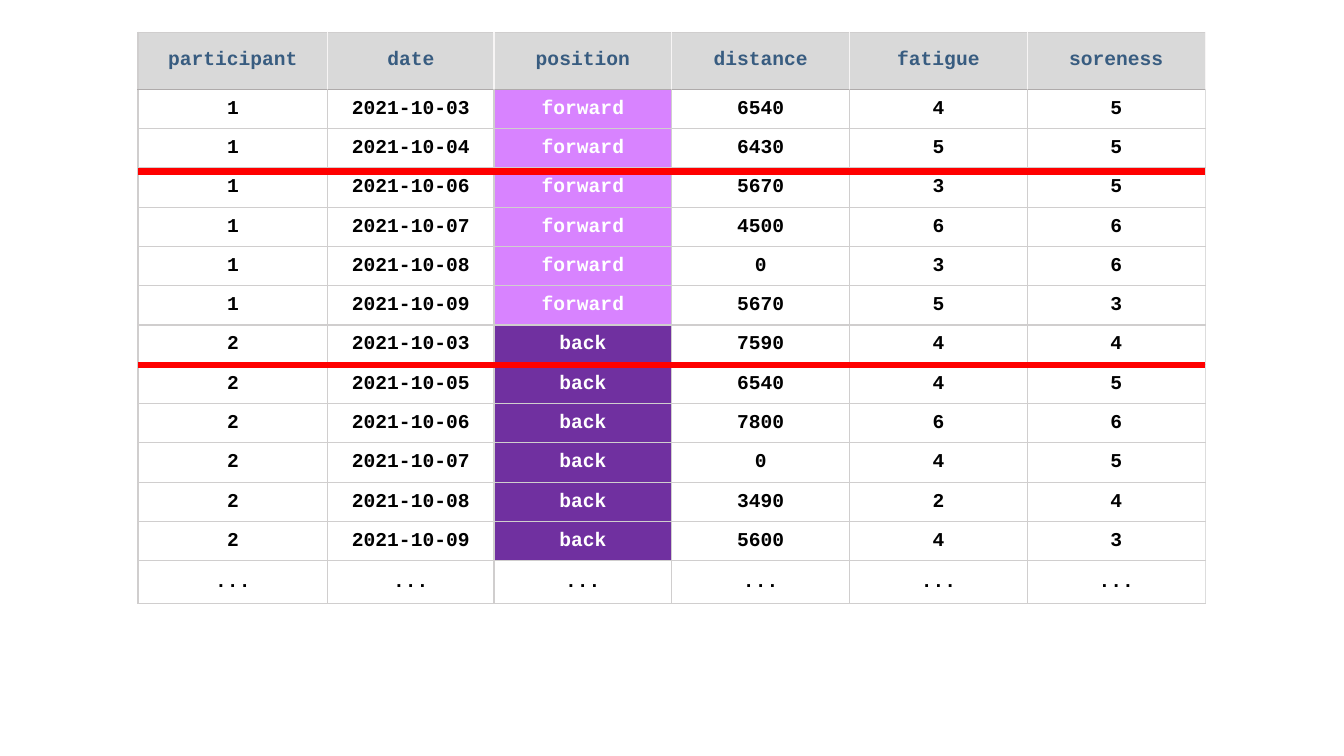
from pptx import Presentation
from pptx.dml.color import RGBColor
from pptx.enum.shapes import MSO_CONNECTOR
from pptx.enum.text import MSO_ANCHOR, PP_ALIGN
from pptx.oxml.ns import qn
from pptx.util import Cm, Pt
from lxml.etree import SubElement

FONT = "Courier New"
LEFT, TOP = 3.48, 0.81
COLUMN_WIDTHS = [4.78, 4.19] + [4.48] * 4
ROW_HEIGHTS = [1.44] + [0.99] * 12 + [1.07]
GRID, HEADER_SIDE, HEADER_BASE, OUTER_RIGHT = "D0CECE", "F7F5F5", "AFABAB", "DDDDDD"
POSITION_FILLS = {"forward": "D883FF", "back": "7030A0"}
GAP_LINES_Y = [4.32, 9.2]

HEADER = ["participant", "date", "position", "distance", "fatigue", "soreness"]
# Per position group: participant, then (day, distance, fatigue, soreness)
SESSIONS = {
    "forward": (1, [("03", 6540, 4, 5), ("04", 6430, 5, 5), ("06", 5670, 3, 5),
                    ("07", 4500, 6, 6), ("08", 0, 3, 6), ("09", 5670, 5, 3)]),
    "back": (2, [("03", 7590, 4, 4), ("05", 6540, 4, 5), ("06", 7800, 6, 6),
                 ("07", 0, 4, 5), ("08", 3490, 2, 4), ("09", 5600, 4, 3)]),
}


def rgb(color):
    """Turn a hex string into a colour."""
    return RGBColor.from_string(color)


def table_rows():
    """List the header, every session and the closing row of dots."""
    rows = [HEADER]
    for position, (participant, sessions) in SESSIONS.items():
        for day, *measures in sessions:
            rows.append([participant, f"2021-10-{day}", position, *measures])
    return rows + [["..."] * len(HEADER)]


def border_colors(row, col):
    """Give the left, right, top and bottom border colours of a cell."""
    last = len(HEADER) - 1
    if row == 0:
        return GRID if col == 0 else HEADER_SIDE, HEADER_SIDE, GRID, HEADER_BASE
    right = OUTER_RIGHT if col == last else GRID
    return GRID, right, HEADER_BASE if row == 1 else GRID, GRID


def set_borders(cell, colors):
    """Draw the four 1 pt borders of a cell."""
    tc_pr = cell._tc.get_or_add_tcPr()
    for side, color in zip("LRTB", colors):
        ln = SubElement(tc_pr, qn(f"a:ln{side}"), w=str(Pt(1)))
        fill = SubElement(ln, qn("a:solidFill"))
        SubElement(fill, qn("a:srgbClr"), val=color)


def fill_cell(cell, text, text_color, fill_color):
    """Write centred bold text in a cell and set its fill."""
    cell.vertical_anchor = MSO_ANCHOR.MIDDLE
    cell.text = text
    p = cell.text_frame.paragraphs[0]
    p.alignment = PP_ALIGN.CENTER
    p.font.name, p.font.size, p.font.bold = FONT, Pt(14), True
    p.font.color.rgb = rgb(text_color)
    if fill_color:
        cell.fill.solid()
        cell.fill.fore_color.rgb = rgb(fill_color)
    else:
        cell.fill.background()


def add_sessions_table(s):
    """Add the table of training sessions."""
    rows = table_rows()
    table = s.shapes.add_table(
        len(rows), len(HEADER), Cm(LEFT), Cm(TOP),
        Cm(sum(COLUMN_WIDTHS)), Cm(sum(ROW_HEIGHTS))).table
    table.first_row = table.horz_banding = False
    for column, width in zip(table.columns, COLUMN_WIDTHS):
        column.width = Cm(width)
    for row, height in zip(table.rows, ROW_HEIGHTS):
        row.height = Cm(height)
    for i, values in enumerate(rows):
        for j, value in enumerate(values):
            cell = table.cell(i, j)
            set_borders(cell, border_colors(i, j))
            if i == 0:
                colors = "385C80", "D9D9D9"
            elif value in POSITION_FILLS:
                colors = "FFFFFF", POSITION_FILLS[value]
            else:
                colors = "000000", None
            fill_cell(cell, str(value), *colors)


def add_gap_line(s, y):
    """Add a red line across the table where a date is missing."""
    line = s.shapes.add_connector(
        MSO_CONNECTOR.STRAIGHT, Cm(LEFT), Cm(y),
        Cm(LEFT + sum(COLUMN_WIDTHS)), Cm(y))
    line.line.color.rgb = rgb("FF0000")
    line.line.width = Pt(4.5)
    SubElement(line._element.spPr, qn("a:effectLst"))


def main():
    """Build and save the slide."""
    prs = Presentation()
    prs.slide_width, prs.slide_height = Cm(33.87), Cm(19.05)
    s = prs.slides.add_slide(prs.slide_layouts[6])
    add_sessions_table(s)
    for y in GAP_LINES_Y:
        add_gap_line(s, y)
    prs.save("out.pptx")


main()
